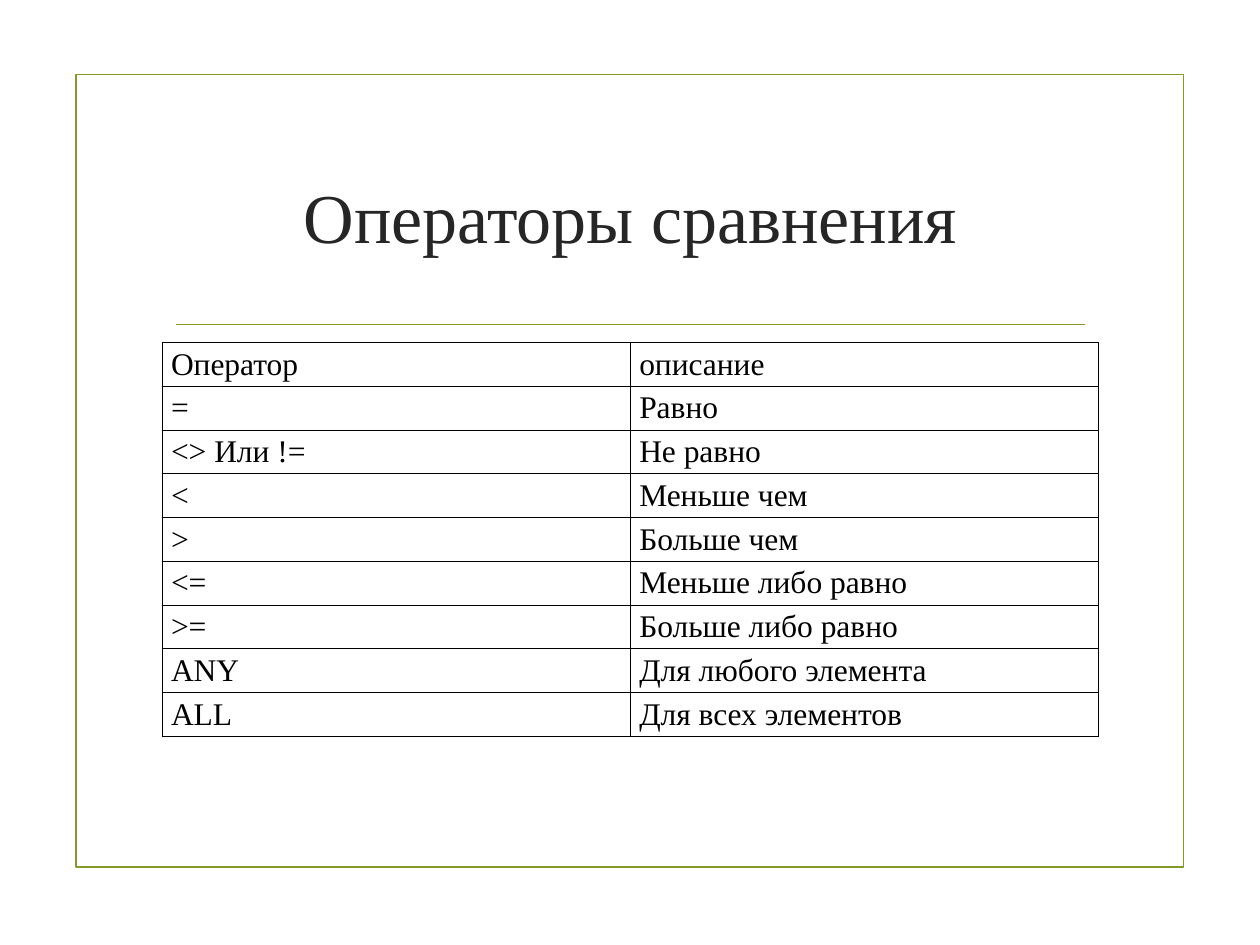
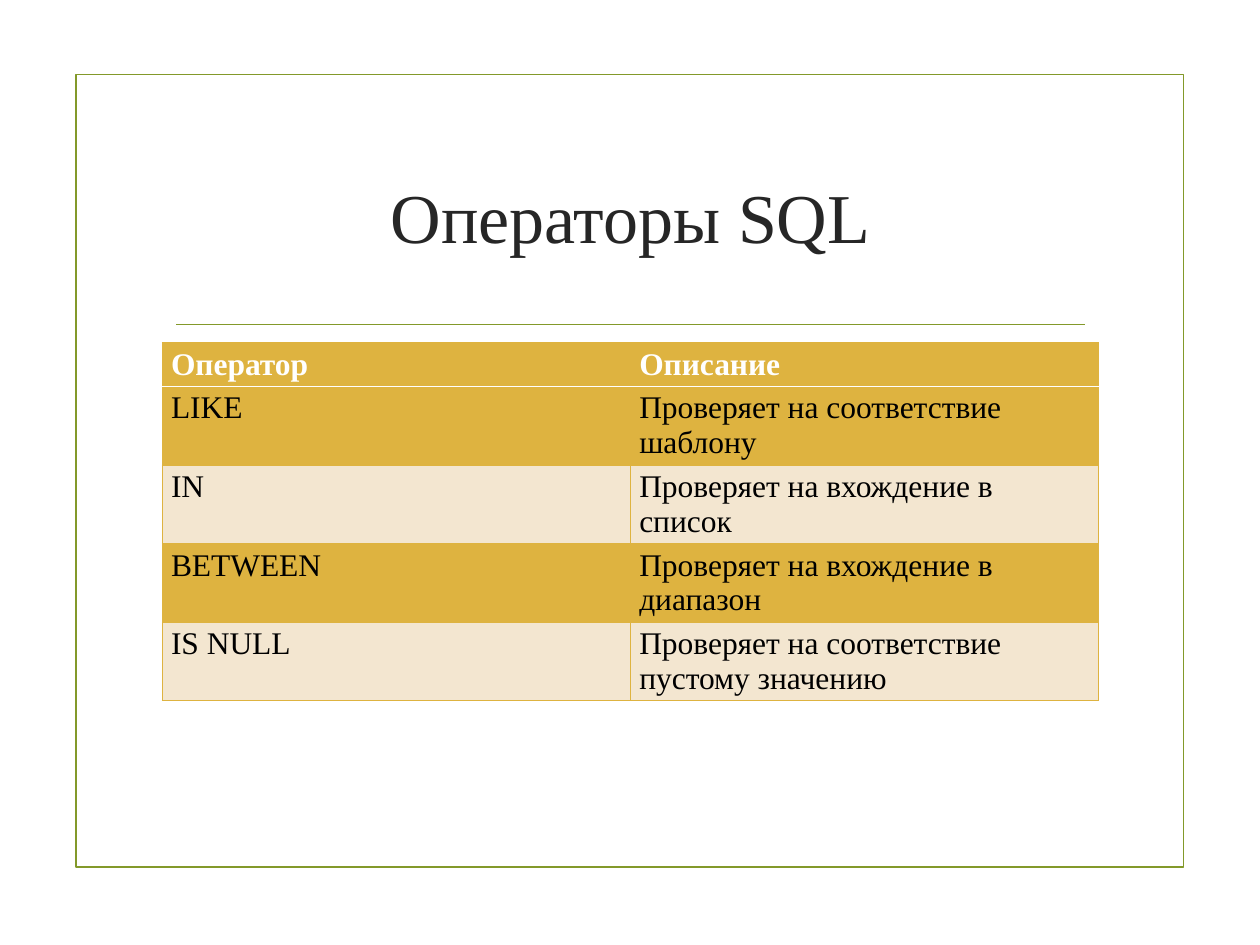
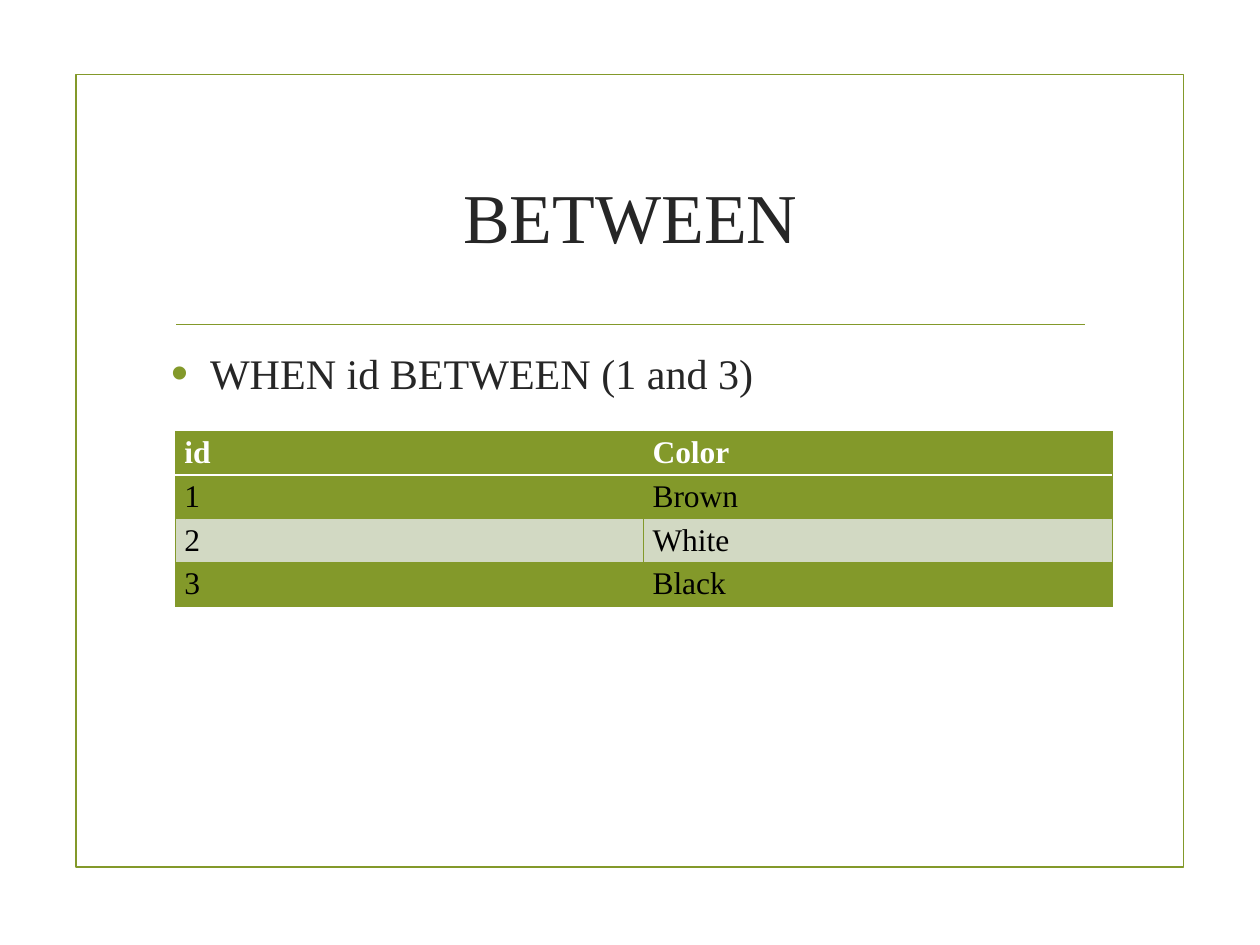
from lxml import etree
from pptx import Presentation
from pptx.dml.color import RGBColor
from pptx.enum.shapes import MSO_CONNECTOR, MSO_SHAPE
from pptx.enum.text import MSO_ANCHOR, MSO_AUTO_SIZE, PP_ALIGN
from pptx.oxml.ns import qn
from pptx.util import Inches, Pt

RECTANGLE = MSO_SHAPE.RECTANGLE
STRAIGHT = MSO_CONNECTOR.STRAIGHT
CENTER, LEFT = PP_ALIGN.CENTER, PP_ALIGN.LEFT
TOP, MIDDLE = MSO_ANCHOR.TOP, MSO_ANCHOR.MIDDLE
NO_AUTOFIT = MSO_AUTO_SIZE.NONE

# Shared style
FONT = "Times New Roman"
GREEN, PALE_GREEN = "83992A", "D2D9C3"
GOLD, PALE_GOLD = "DEB340", "F3E6D0"
INK, BLACK, WHITE = "262626", "000000", "FFFFFF"
TITLE_SIZE, BODY_SIZE, CELL_SIZE = 56.9, 34.2, 25.6
CONTENT_LEFT, CONTENT_TOP, CONTENT_WIDTH = 1.83, 3.87, 10.57
ROW_HEIGHT = 0.49
TITLE_ONLY, TITLE_AND_CONTENT = 5, 1

COMPARISON_ROWS = [
    ("Оператор", "описание"),
    ("=", "Равно"),
    ("<> Или !=", "Не равно"),
    ("<", "Меньше чем"),
    (">", "Больше чем"),
    ("<=", "Меньше либо равно"),
    (">=", "Больше либо равно"),
    ("ANY", "Для любого элемента"),
    ("ALL", "Для всех элементов"),
]
SQL_ROWS = [
    ("Оператор", "Описание"),
    ("LIKE", "Проверяет на соответствие шаблону"),
    ("IN", "Проверяет на вхождение в список"),
    ("BETWEEN", "Проверяет на вхождение в диапазон"),
    ("IS NULL", "Проверяет на соответствие пустому значению"),
]
COLOR_ROWS = [("id", "Color"), ("1", "Brown"), ("2", "White"), ("3", "Black")]


def rgb(color):
    return RGBColor.from_string(color)


def format_runs(paragraph, size, color, bold=False):
    for run in paragraph.runs:
        run.font.name = FONT
        run.font.size = Pt(size)
        run.font.bold = bold
        run.font.color.rgb = rgb(color)


def add_element(parent, tag, **attributes):
    element = etree.SubElement(parent, qn(tag))
    for name, value in attributes.items():
        element.set(name, str(value))
    return element


# Frame and rule, kept on the slide master
def add_master_frame(master, slide):
    frame = slide.shapes.add_shape(
        RECTANGLE, Inches(0.86), Inches(0.84), Inches(12.5), Inches(8.95))
    frame.shadow.inherit = False
    frame.fill.background()
    frame.line.width = Pt(1.25)
    rule = slide.shapes.add_connector(
        STRAIGHT, Inches(1.99), Inches(3.66), Inches(12.25), Inches(3.66))
    rule.line.width = Pt(0.75)
    add_element(rule.element.spPr, "a:effectLst")
    for shape in (frame, rule):
        shape.line.color.rgb = rgb(GREEN)
        master.shapes.element.append(shape.element)


# Placeholders
def fill_placeholder(shape, text, top, height, anchor):
    shape.left, shape.top = Inches(CONTENT_LEFT), Inches(top)
    shape.width, shape.height = Inches(CONTENT_WIDTH), Inches(height)
    text_frame = shape.text_frame
    text_frame.text = text
    text_frame.auto_size = NO_AUTOFIT
    text_frame.vertical_anchor = anchor
    return text_frame.paragraphs[0]


def add_titled_slide(presentation, layout_index, title):
    slide = presentation.slides.add_slide(presentation.slide_layouts[layout_index])
    paragraph = fill_placeholder(slide.shapes.title, title, 1.42, 2.03, MIDDLE)
    paragraph.alignment = CENTER
    format_runs(paragraph, TITLE_SIZE, INK)
    return slide


def fill_bullet(slide, text):
    paragraph = fill_placeholder(
        slide.placeholders[1], text, CONTENT_TOP, 5.36, TOP)
    paragraph.alignment = LEFT
    paragraph.space_before, paragraph.space_after = Pt(6.8), Pt(8.5)
    format_runs(paragraph, BODY_SIZE, INK)
    properties = paragraph._p.get_or_add_pPr()
    properties.set("marL", str(Inches(0.44)))
    properties.set("indent", str(-Inches(0.44)))
    bullet_color = add_element(properties, "a:buClr")
    add_element(bullet_color, "a:srgbClr", val=GREEN)
    add_element(properties, "a:buSzPct", val=115000)
    add_element(properties, "a:buFont", typeface="Arial")
    add_element(properties, "a:buChar", char="•")


# Tables
def set_border(cell, side, color, width):
    line = add_element(cell._tc.get_or_add_tcPr(), f"a:ln{side}", w=Pt(width))
    fill = add_element(line, "a:solidFill")
    add_element(fill, "a:srgbClr", val=color)


def format_cell(cell, row_index, border, width, bands):
    for side in "LRTB":
        under_header = (row_index, side) in ((0, "B"), (1, "T"))
        if bands and under_header:
            set_border(cell, side, WHITE, 1.25)
        else:
            set_border(cell, side, border, width)
    if bands:
        cell.fill.solid()
        band = 0 if row_index == 0 else (row_index - 1) % 2
        cell.fill.fore_color.rgb = rgb(bands[band])
    else:
        cell.fill.background()
    header = bool(bands) and row_index == 0
    format_runs(cell.text_frame.paragraphs[0], CELL_SIZE,
                WHITE if header else BLACK, bold=header)


def add_grid(slide, rows, left, top, border, width=0.75, bands=None):
    columns = len(rows[0])
    table = slide.shapes.add_table(
        len(rows), columns, Inches(left), Inches(top),
        Inches(CONTENT_WIDTH), Inches(ROW_HEIGHT * len(rows))).table
    table.first_row = bool(bands)
    table.horz_banding = bool(bands)
    for row_index, texts in enumerate(rows):
        for column_index, text in enumerate(texts):
            cell = table.cell(row_index, column_index)
            cell.text_frame.text = text
            format_cell(cell, row_index, border, width, bands)


def main():
    presentation = Presentation()
    presentation.slide_width = Inches(14.22)
    presentation.slide_height = Inches(10.67)

    # Comparison operators
    slide = add_titled_slide(presentation, TITLE_ONLY, "Операторы сравнения")
    add_master_frame(presentation.slide_master, slide)
    add_grid(slide, COMPARISON_ROWS, CONTENT_LEFT, CONTENT_TOP, BLACK, width=0.96)

    # SQL operators
    slide = add_titled_slide(presentation, TITLE_ONLY, "Операторы SQL")
    add_grid(slide, SQL_ROWS, CONTENT_LEFT, CONTENT_TOP, GOLD,
             bands=(GOLD, PALE_GOLD))

    # BETWEEN example
    slide = add_titled_slide(presentation, TITLE_AND_CONTENT, "BETWEEN")
    fill_bullet(slide, "WHEN id BETWEEN (1 and 3)")
    add_grid(slide, COLOR_ROWS, 1.98, 4.87, GREEN, bands=(GREEN, PALE_GREEN))

    presentation.save("out.pptx")


if __name__ == "__main__":
    main()
